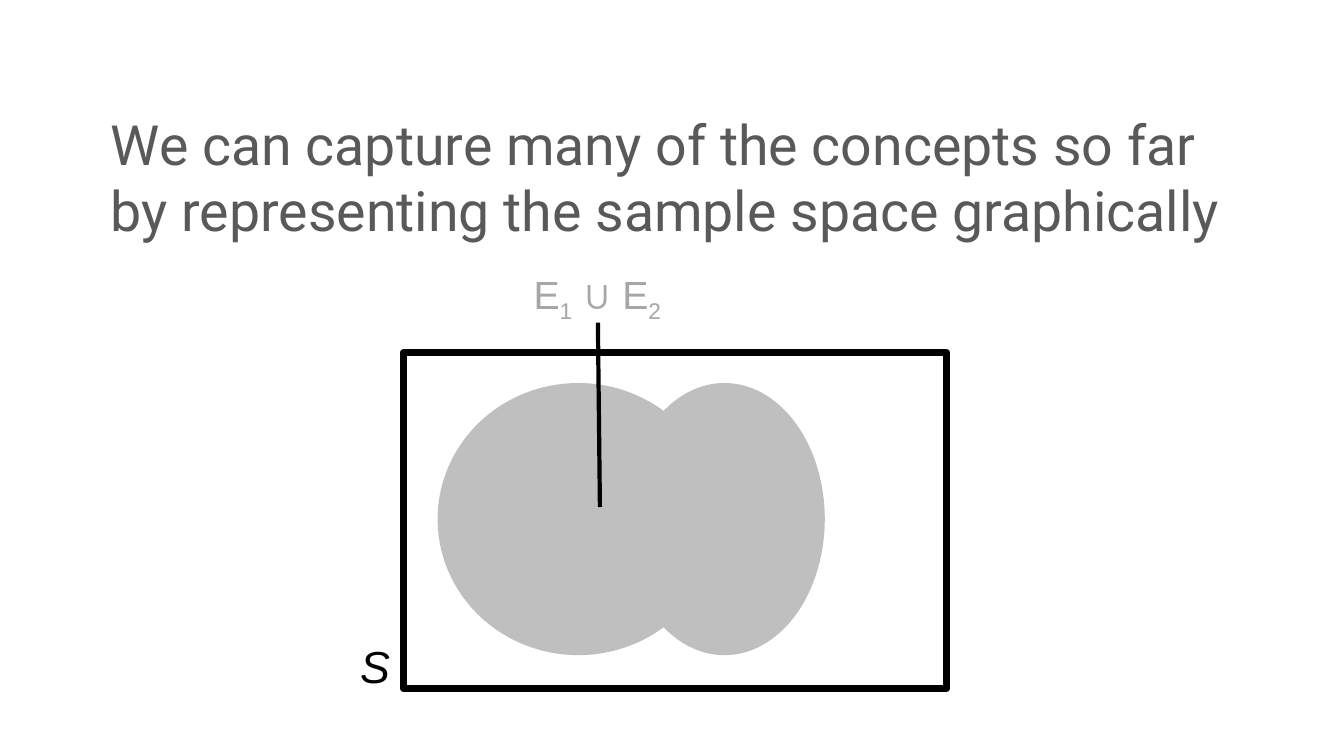
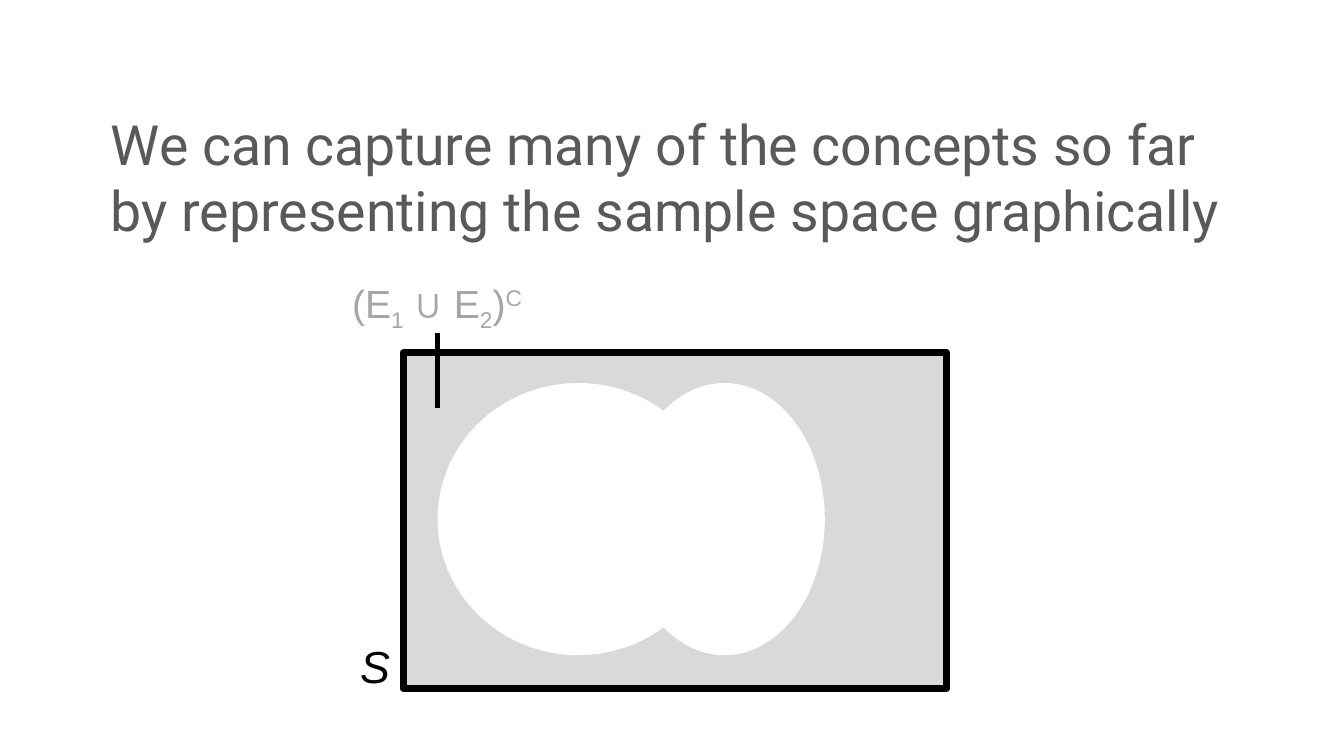
from pptx import Presentation
from pptx.dml.color import RGBColor
from pptx.enum.shapes import MSO_CONNECTOR, MSO_SHAPE
from pptx.enum.text import MSO_ANCHOR, MSO_AUTO_SIZE, PP_ALIGN
from pptx.oxml.ns import qn
from pptx.util import Inches, Pt

WHITE = RGBColor(0xFF, 0xFF, 0xFF)
BLACK = RGBColor(0, 0, 0)
TITLE_GREY = RGBColor(0x59, 0x59, 0x59)
LABEL_GREY = RGBColor(0xA6, 0xA6, 0xA6)
EVENT_GREY = RGBColor(0xBF, 0xBF, 0xBF)
SPACE_GREY = RGBColor(0xD9, 0xD9, 0xD9)

TITLE = ("We can capture many of the concepts so far "
         "by representing the sample space graphically")
TITLE_BOX = (1, 1, 11.5, 1.5)
SPACE_BOX = (4, 3.5, 5.39, 3.33)
SUB, SUP = -25, 30  # baseline shift in percent
UNION = [("E", 0), ("1", SUB), (" ∪ E", 0), ("2", SUB)]
COMPLEMENT = [("(E", 0)] + UNION[1:] + [(")", 0), ("C", SUP)]


def add_run(p, text, size, color, font="Arial", italic=None, shift=0):
    r = p.add_run()
    r.text = text
    r.font.name, r.font.size, r.font.italic = font, Pt(size), italic
    r.font.color.rgb = color
    if shift:
        r.font._element.set("baseline", str(shift * 1000))


def add_title(s, text, box):
    title = s.shapes.title
    title.left, title.top, title.width, title.height = map(Inches, box)
    tf = title.text_frame
    tf.word_wrap, tf.auto_size = True, MSO_AUTO_SIZE.NONE
    tf.vertical_anchor = MSO_ANCHOR.MIDDLE
    p = tf.paragraphs[0]
    p.alignment = PP_ALIGN.LEFT
    add_run(p, text, 39.6, TITLE_GREY, "Roboto")


def add_text(s, box, runs, size, color, italic=None):
    tf = s.shapes.add_textbox(*map(Inches, box)).text_frame
    tf.word_wrap = True
    tf.margin_left = tf.margin_right = 0
    p = tf.paragraphs[0]
    p.alignment = PP_ALIGN.CENTER
    for text, shift in runs:
        add_run(p, text, size, color, italic=italic, shift=shift)


def add_area(s, kind, box, fill=None, line=None):
    sp = s.shapes.add_shape(kind, *map(Inches, box))
    sp.shadow.inherit = False
    if fill is None:
        sp.fill.background()
    else:
        sp.fill.solid()
        sp.fill.fore_color.rgb = fill
    if line is None:
        sp.line.fill.background()
    else:
        sp.line.color.rgb, sp.line.width = line, Pt(5)


def add_pointer(s, start, end):
    ln = s.shapes.add_connector(MSO_CONNECTOR.STRAIGHT, *map(Inches, start + end))
    ln.line.color.rgb, ln.line.width = BLACK, Pt(3)
    sp_pr = ln._element.spPr
    sp_pr.append(sp_pr.makeelement(qn("a:effectLst"), {}))


def add_venn(s, box, space_fill, event_fill, label, label_at, start, end):
    """Sample space with two events; label and pointer are offsets in the box."""
    x, y, w, h = box
    add_area(s, MSO_SHAPE.RECTANGLE, box, space_fill, BLACK)
    # Events E1 and E2
    for dx, width in ((0.34, 2.79), (2.19, 1.99)):
        add_area(s, MSO_SHAPE.OVAL, (x + dx, y + 0.3, width, 2.7), event_fill)
    # Pointer with its label
    add_pointer(s, (x + start[0], y + start[1]), (x + end[0], y + end[1]))
    add_text(s, (x + label_at[0], y + label_at[1], 2.13, 0.57),
             label, 28, LABEL_GREY)
    # Name of the sample space
    add_text(s, (x - 0.44, y + h - 0.54, 0.32, 0.64), [("S", 0)], 32, BLACK, True)


def add_venn_slide(prs, **venn):
    s = prs.slides.add_slide(prs.slide_layouts[5])
    add_title(s, TITLE, TITLE_BOX)
    add_venn(s, SPACE_BOX, **venn)


def main():
    prs = Presentation()
    prs.slide_width, prs.slide_height = Inches(13.33), Inches(7.5)
    add_venn_slide(prs, space_fill=None, event_fill=EVENT_GREY,
                   label=UNION, label_at=(0.86, -0.87),
                   start=(1.93, -0.3), end=(1.95, 1.53))
    add_venn_slide(prs, space_fill=SPACE_GREY, event_fill=WHITE,
                   label=COMPLEMENT, label_at=(-0.73, -0.78),
                   start=(0.34, -0.2), end=(0.34, 0.55))
    prs.save("out.pptx")


if __name__ == "__main__":
    main()
